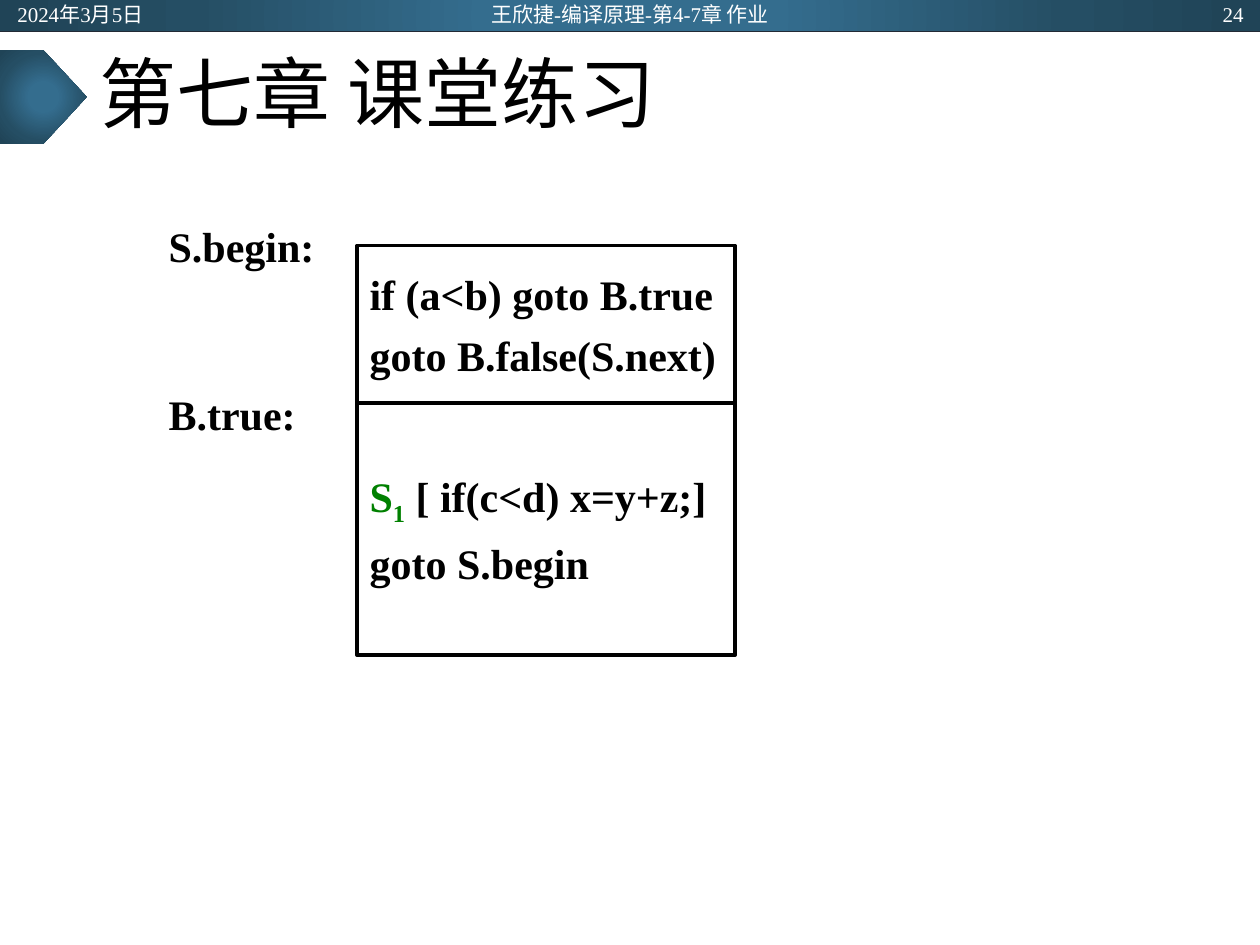
"""Builds the chapter seven exercise slide with its code layout diagram."""
from pptx import Presentation
from pptx.dml.color import RGBColor
from pptx.enum.shapes import MSO_CONNECTOR, MSO_SHAPE
from pptx.enum.text import MSO_ANCHOR, PP_ALIGN
from pptx.oxml import parse_xml
from pptx.oxml.ns import nsdecls
from pptx.util import Cm, Pt
from lxml.etree import SubElement

FONT = "Times New Roman"
COLORS = {"black": "000000", "white": "FFFFFF", "green": "008000",
          "rule": "222A35", "light": "346D8E", "mid": "254E64", "dark": "204457"}
GRADIENT = [(0, "light"), (23, "light"), (69, "mid"), (97, "dark")]


def rgb(name):
    return RGBColor.from_string(COLORS[name])


def add_gradient_shape(slide, kind, left, top, width, height):
    s = slide.shapes.add_shape(kind, Cm(left), Cm(top), Cm(width), Cm(height))
    s.shadow.inherit = False
    s.line.fill.background()
    s.fill.background()
    stops = "".join(
        f'<a:gs pos="{pos * 1000}"><a:srgbClr val="{COLORS[name]}"/></a:gs>'
        for pos, name in GRADIENT)
    grad = parse_xml(
        f'<a:gradFill {nsdecls("a")} rotWithShape="1"><a:gsLst>{stops}</a:gsLst>'
        '<a:path path="circle"><a:fillToRect l="50000" t="50000" r="50000" b="50000"/>'
        '</a:path></a:gradFill>')
    sp_pr = s.element.spPr
    sp_pr.replace(sp_pr.find("{*}noFill"), grad)


def add_rule(slide, top, width):
    s = slide.shapes.add_connector(MSO_CONNECTOR.STRAIGHT, 0, Cm(top), Cm(width), Cm(top))
    s.line.color.rgb = rgb("rule")
    s.line.width = Pt(0.5)
    SubElement(s.element.spPr, "{http://schemas.openxmlformats.org/drawingml/2006/main}effectLst")


def style(p, size, color="black", bold=False, align=PP_ALIGN.LEFT):
    p.alignment = align
    p.font.name = FONT
    p.font.size = Pt(size)
    p.font.bold = bold
    p.font.color.rgb = rgb(color)


def add_text(slide, text, box, size, color="black", bold=False,
             align=PP_ALIGN.LEFT, anchor=MSO_ANCHOR.MIDDLE, wrap=True):
    tf = slide.shapes.add_textbox(*map(Cm, box)).text_frame
    tf.word_wrap = wrap
    tf.vertical_anchor = anchor
    p = tf.paragraphs[0]
    p.text = text
    style(p, size, color, bold, align)
    return p


def add_code_box(slide, top, height, lines):
    s = slide.shapes.add_shape(MSO_SHAPE.RECTANGLE, Cm(7.2), Cm(top), Cm(7.62), Cm(height))
    s.shadow.inherit = False
    s.fill.background()
    s.line.color.rgb = rgb("black")
    s.line.width = Pt(2)
    tf = s.text_frame
    tf.word_wrap = True
    tf.vertical_anchor = MSO_ANCHOR.MIDDLE
    for i, runs in enumerate(lines):
        p = tf.add_paragraph() if i else tf.paragraphs[0]
        style(p, 24, bold=True)
        p.space_before = Pt(6)
        for text, color, baseline in runs:
            r = p.add_run()
            r.text = text
            r.font.color.rgb = rgb(color)
            if baseline:
                r.font._element.set("baseline", str(baseline * 1000))


def main():
    prs = Presentation()
    prs.slide_width, prs.slide_height = Cm(25.4), Cm(19.05)
    slide = prs.slides.add_slide(prs.slide_layouts[6])

    add_gradient_shape(slide, MSO_SHAPE.RECTANGLE, 0, 0, 25.4, 0.64)
    add_rule(slide, 0.64, 25.4)
    add_gradient_shape(slide, MSO_SHAPE.PENTAGON, 0, 1.01, 1.75, 1.89)
    title = add_text(slide, "第七章 课堂练习", (1.75, 0.64, 21.9, 2.64), 44)
    title.line_spacing = 0.9

    add_code_box(slide, 4.95, 3.18, [
        [("if (a<b) goto B.true", "black", 0)],
        [("goto B.false(S.next)", "black", 0)]])
    add_code_box(slide, 8.13, 5.08, [
        [("S", "green", 0), ("1", "green", -25), (" [ if(c<d) x=y+z;]", "black", 0)],
        [("goto S.begin", "black", 0)]])
    for text, top, width in [("S.begin:", 4.32, 3.48), ("B.true:", 7.7, 3.1)]:
        add_text(slide, text, (3.15, top, width, 1.3), 24, bold=True,
                 anchor=MSO_ANCHOR.TOP, wrap=False)

    for text, left, width, align in [
            ("2024年3月5日", 0.1, 5.72, PP_ALIGN.LEFT),
            ("王欣捷-编译原理-第4-7章 作业", 8.41, 8.58, PP_ALIGN.CENTER),
            ("24", 19.6, 5.72, PP_ALIGN.RIGHT)]:
        add_text(slide, text, (left, 0.03, width, 0.51), 12, "white", align=align)

    prs.save("out.pptx")


if __name__ == "__main__":
    main()
